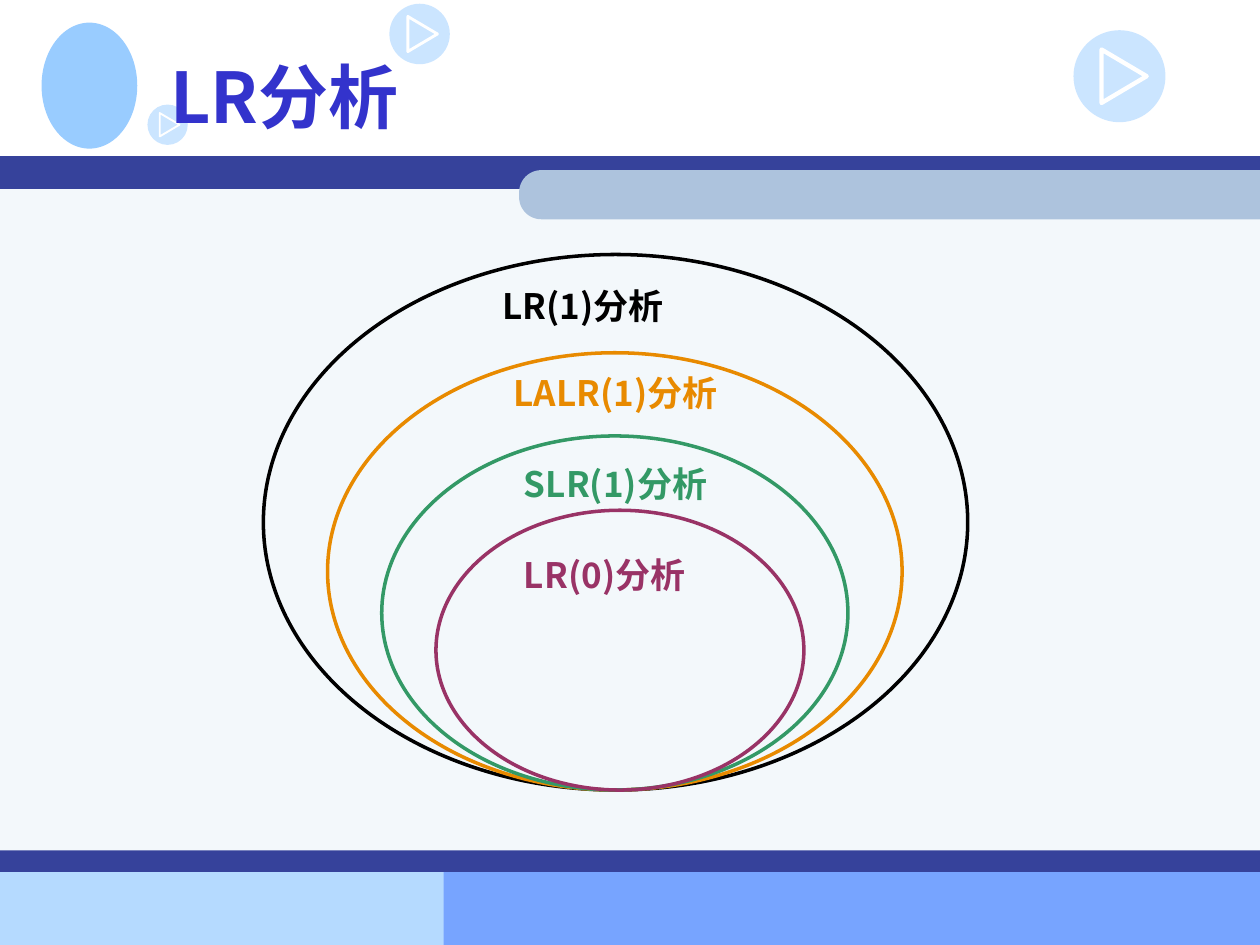
from typing import NamedTuple

from lxml.etree import SubElement
from pptx import Presentation
from pptx.dml.color import RGBColor
from pptx.enum.shapes import MSO_SHAPE
from pptx.enum.text import MSO_ANCHOR, PP_ALIGN
from pptx.oxml.ns import qn
from pptx.util import Inches, Pt

FONT = "Noto Sans CJK SC"
COLORS = {
    "white": "FFFFFF", "panel": "F3F8FB", "navy": "36429B", "steel": "ADC3DD",
    "pale": "B5DAFF", "blue": "77A4FF", "sky": "99CCFF", "title": "3333CC",
    "black": "000000", "orange": "E88A00", "green": "339966", "plum": "993366",
}


class Bar(NamedTuple):
    left: float
    top: float
    width: float
    height: float
    color: str


class Badge(NamedTuple):
    left: float
    top: float
    size: float


class Grammar(NamedTuple):
    text: str
    color: str
    left: float
    width: float
    height: float
    label_left: float
    label_top: float
    label_width: float


BARS = [
    Bar(0, 6.92, 4.25, 0.58, "pale"),
    Bar(3.52, 6.91, 6.48, 0.59, "blue"),
    Bar(0, 1.4, 10, 5.51, "panel"),
    Bar(0, 1.24, 10, 0.26, "navy"),
    Bar(0, 6.75, 10, 0.17, "navy"),
]
BADGES = [Badge(3.09, 0.03, 0.48), Badge(8.52, 0.24, 0.73), Badge(1.17, 0.83, 0.32)]
GRAMMARS = [
    Grammar("LR(1)分析", "black", 2.09, 5.59, 4.25, 3.89, 2.21, 1.89),
    Grammar("LALR(1)分析", "orange", 2.6, 4.56, 3.47, 3.98, 2.9, 1.98),
    Grammar("SLR(1)分析", "green", 3.03, 3.7, 2.81, 4.06, 3.62, 1.98),
    Grammar("LR(0)分析", "plum", 3.46, 2.92, 2.22, 4.06, 4.34, 1.98),
]
ELLIPSE_BOTTOM = 6.27  # all ellipses touch here


def rgb(name: str) -> RGBColor:
    return RGBColor.from_string(COLORS[name])


def add_figure(page, kind, left: float, top: float, width: float, height: float,
               *, fill: str = "", line: str = "", weight: float = 2):
    figure = page.shapes.add_shape(
        kind, Inches(left), Inches(top), Inches(width), Inches(height))
    figure.shadow.inherit = False
    if fill:
        figure.fill.solid()
        figure.fill.fore_color.rgb = rgb(fill)
    else:
        figure.fill.background()
    if line:
        figure.line.color.rgb = rgb(line)
        figure.line.width = Pt(weight)
    else:
        figure.line.fill.background()
    return figure


def write_text(box, text: str, *, size: float, color: str,
               anchor=MSO_ANCHOR.TOP) -> None:
    frame = box.text_frame
    frame.word_wrap = True
    frame.vertical_anchor = anchor
    para = frame.paragraphs[0]
    para.alignment = PP_ALIGN.LEFT
    span = para.add_run()
    span.text = text
    span.font.size = Pt(size)
    span.font.bold = True
    span.font.color.rgb = rgb(color)
    span.font.name = FONT
    SubElement(span.font._element, qn("a:ea"), typeface=FONT)


def add_badge(page, badge: Badge) -> None:
    left, top, size = badge
    disc = add_figure(page, MSO_SHAPE.OVAL, left, top, size, size, fill="sky")
    color = disc.fill._xPr.find(qn("a:solidFill"))[0]
    SubElement(color, qn("a:alpha"), val="50000")
    # Triangle turned to point right, slightly right of centre
    base, depth = 0.58 * size, 0.49 * size
    arrow = add_figure(page, MSO_SHAPE.ISOSCELES_TRIANGLE,
                       left + 0.55 * size - base / 2, top + (size - depth) / 2,
                       base, depth, line="white", weight=3.4 * size)
    arrow.rotation = 90


def add_grammar(page, grammar: Grammar) -> None:
    add_figure(page, MSO_SHAPE.OVAL, grammar.left, ELLIPSE_BOTTOM - grammar.height,
               grammar.width, grammar.height, line=grammar.color)
    box = page.shapes.add_textbox(
        Inches(grammar.label_left), Inches(grammar.label_top),
        Inches(grammar.label_width), Inches(0.44))
    write_text(box, grammar.text, size=20, color=grammar.color)


def main() -> None:
    deck = Presentation()
    deck.slide_width, deck.slide_height = Inches(10), Inches(7.5)
    page = deck.slides.add_slide(deck.slide_layouts[5])

    # Background bands, with a tab rounded on its left side
    for bar in BARS:
        add_figure(page, MSO_SHAPE.RECTANGLE, *bar[:4], fill=bar.color)
    length, height = 5.88, 0.39
    tab = add_figure(page, MSO_SHAPE.ROUND_2_SAME_RECTANGLE,
                     4.12 + (length - height) / 2, 1.35 + (height - length) / 2,
                     height, length, fill="steel")
    tab.adjustments[0] = 0.45
    tab.rotation = 270

    # Plain emblem and round badges
    add_figure(page, MSO_SHAPE.OVAL, 0.33, 0.18, 0.76, 1, fill="sky")
    for badge in BADGES:
        add_badge(page, badge)

    # Title, raised above the badges
    title = page.shapes.title
    title.left, title.top = Inches(1.25), Inches(0.17)
    title.width, title.height = Inches(8.5), Inches(1.17)
    write_text(title, "LR分析", size=40, color="title", anchor=MSO_ANCHOR.MIDDLE)
    title.element.getparent().append(title.element)

    # Nested grammar classes
    for grammar in GRAMMARS:
        add_grammar(page, grammar)

    deck.save("out.pptx")


if __name__ == "__main__":
    main()
